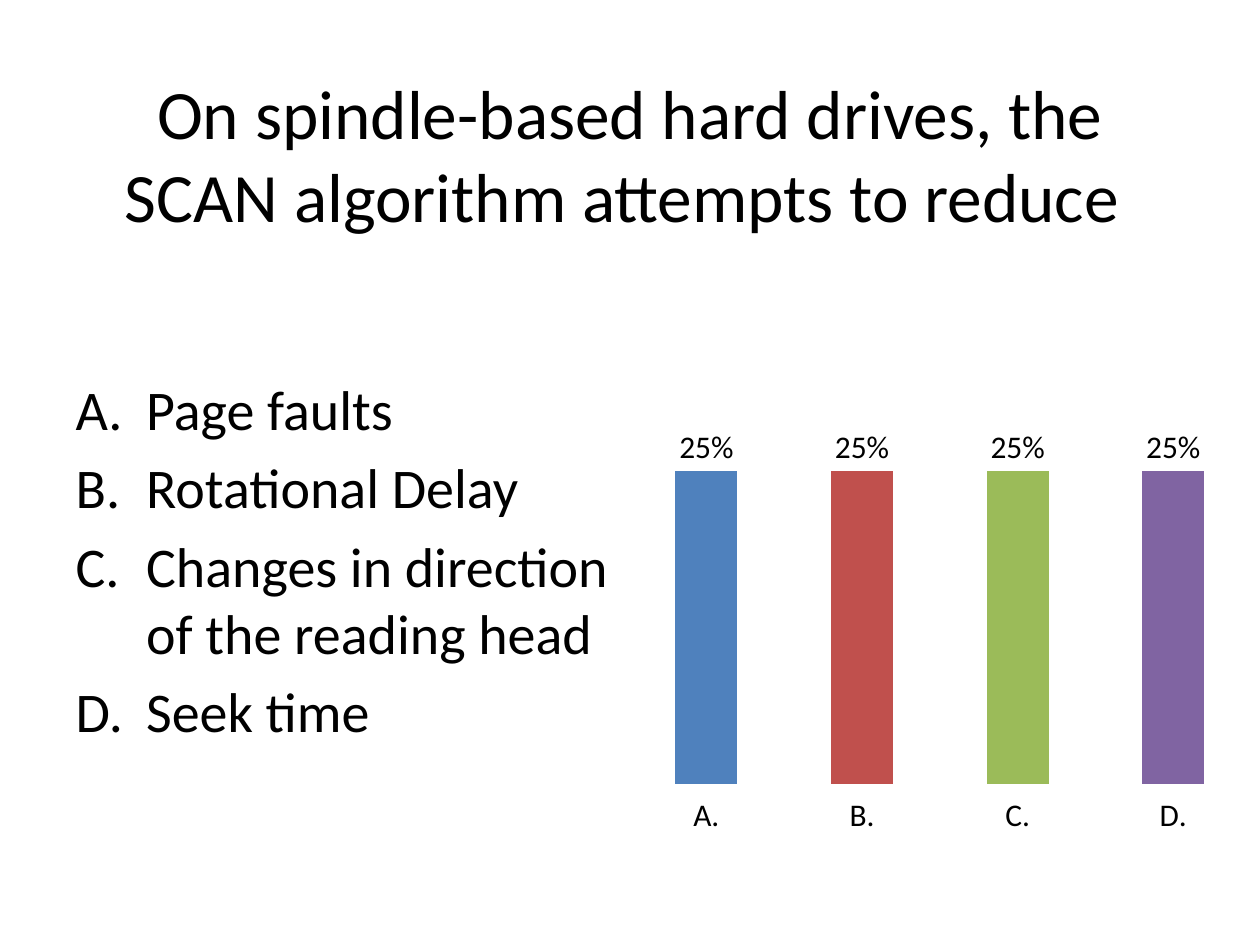
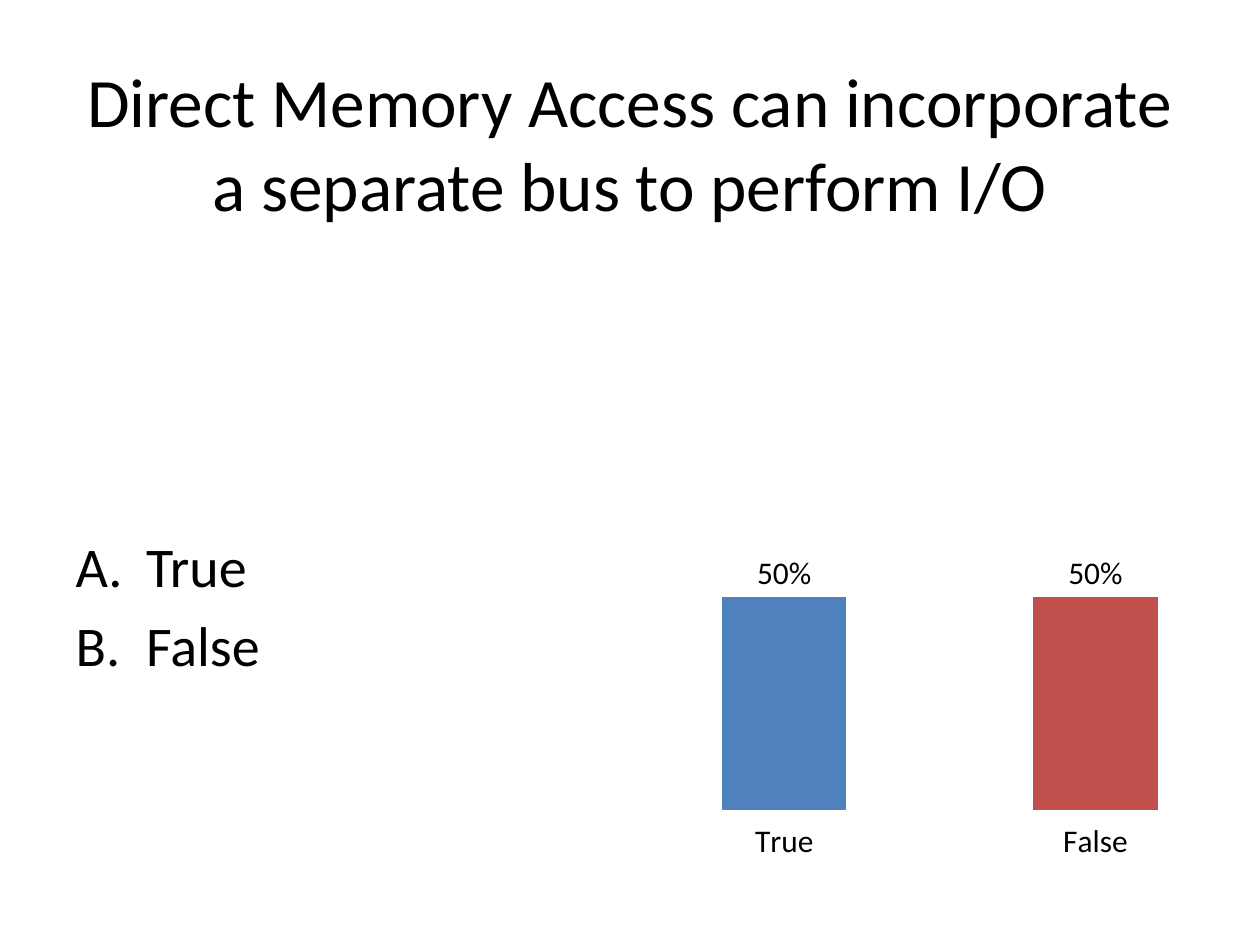
import lxml.etree
import pptx
import pptx.chart.data
import pptx.dml.color
import pptx.enum.chart
import pptx.enum.text
import pptx.oxml.ns
import pptx.util
from pptx.util import Inches

QUESTIONS = [
    {
        "title": "On spindle-based hard drives, the SCAN algorithm attempts to reduce ",
        "title_top": 0.59,
        "content_top": 2.92,
        "answers": [
            "Page faults",
            "Rotational Delay",
            "Changes in direction of the reading head",
            "Seek time",
        ],
        "votes": {"A.": 0.25, "B.": 0.25, "C.": 0.25, "D.": 0.25},
    },
    {
        "title": "Direct Memory Access can incorporate a separate bus to perform I/O",
        "title_top": 0.5,
        "content_top": 4.17,
        "answers": ["True", "False"],
        "votes": {"True": 0.5, "False": 0.5},
    },
]

FONT = "Calibri"
TEXT_COLOR = "000000"
BACKGROUND = "FFFFFF"
BAR_COLORS = ["4F81BD", "C0504D", "9BBB59", "8064A2"]
TITLE_SIZE, ANSWER_SIZE, CHART_SIZE = 39.6, 32, 18

MARGIN = 0.5
TITLE_WIDTH, TITLE_HEIGHT = 9, 1.25
ANSWERS_WIDTH, ANSWERS_BOTTOM = 4.5, 6.7
ANSWER_INDENT = 0.56
CHART_LEFT, CHART_WIDTH, CHART_BOTTOM = 4.93, 5, 7.37
PLOT_AREA = {"x": 0.008, "y": 0.072, "w": 0.992, "h": 0.76}
HEADROOM = 1.2  # top of the value axis relative to the tallest bar


def rgb(color):
    return pptx.dml.color.RGBColor.from_string(color)


def style_font(font, size):
    font.name = FONT
    font.size = pptx.util.Pt(size)
    font.color.rgb = rgb(TEXT_COLOR)


def place(shape, left, top, width, height):
    shape.left, shape.top = Inches(left), Inches(top)
    shape.width, shape.height = Inches(width), Inches(height)


def fill_title(shape, text, top):
    place(shape, MARGIN, top, TITLE_WIDTH, TITLE_HEIGHT)
    frame = shape.text_frame
    frame.text = text
    frame.auto_size = pptx.enum.text.MSO_AUTO_SIZE.NONE
    frame.vertical_anchor = pptx.enum.text.MSO_ANCHOR.MIDDLE
    paragraph = frame.paragraphs[0]
    paragraph.alignment = pptx.enum.text.PP_ALIGN.CENTER
    style_font(paragraph.font, TITLE_SIZE)


def fill_answers(shape, answers, top):
    place(shape, MARGIN, top, ANSWERS_WIDTH, ANSWERS_BOTTOM - top)
    frame = shape.text_frame
    frame.text = "\n".join(answers)
    frame.auto_size = pptx.enum.text.MSO_AUTO_SIZE.NONE
    for paragraph in frame.paragraphs:
        properties = paragraph._p.get_or_add_pPr()
        properties.set("marL", str(Inches(ANSWER_INDENT)))
        properties.set("indent", str(-Inches(ANSWER_INDENT)))
        lxml.etree.SubElement(
            properties, pptx.oxml.ns.qn("a:buAutoNum"), type="alphaUcPeriod"
        )
        style_font(paragraph.font, ANSWER_SIZE)
    frame.paragraphs[0].space_before = pptx.util.Pt(0)


def set_plot_area(chart):
    """Fix the outer bounds of the plot as fractions of the chart."""
    qn = pptx.oxml.ns.qn
    plot_area = chart._chartSpace.chart.plotArea
    layout = plot_area.find(qn("c:layout"))
    if layout is None:
        layout = lxml.etree.Element(qn("c:layout"))
        plot_area.insert(0, layout)
    manual = lxml.etree.SubElement(layout, qn("c:manualLayout"))
    settings = {"layoutTarget": "outer", "xMode": "edge", "yMode": "edge", **PLOT_AREA}
    for name, value in settings.items():
        lxml.etree.SubElement(manual, qn(f"c:{name}"), val=str(value))


def add_vote_chart(slide, votes, top):
    data = pptx.chart.data.CategoryChartData(number_format="0%")
    data.categories = list(votes)
    data.add_series("Series 1", list(votes.values()))
    chart = slide.shapes.add_chart(
        pptx.enum.chart.XL_CHART_TYPE.COLUMN_CLUSTERED,
        Inches(CHART_LEFT), Inches(top),
        Inches(CHART_WIDTH), Inches(CHART_BOTTOM - top),
        data,
    ).chart
    chart.has_legend = False
    chart.has_title = False
    style_font(chart.font, CHART_SIZE)
    set_plot_area(chart)

    value_axis = chart.value_axis
    value_axis.minimum_scale = 0
    value_axis.maximum_scale = round(max(votes.values()) * HEADROOM, 2)
    value_axis.has_major_gridlines = False
    value_axis.tick_label_position = pptx.enum.chart.XL_TICK_LABEL_POSITION.NONE
    for axis in (value_axis, chart.category_axis):
        axis.format.line.fill.background()

    plot = chart.plots[0]
    plot.gap_width = 150
    plot.vary_by_categories = True
    plot.has_data_labels = True
    labels = plot.data_labels
    labels.show_value = True
    labels.number_format = "0%"
    labels.number_format_is_linked = False
    labels.position = pptx.enum.chart.XL_LABEL_POSITION.OUTSIDE_END
    style_font(labels.font, CHART_SIZE)
    for index, color in enumerate(BAR_COLORS[:len(votes)]):
        fill = plot.series[0].points[index].format.fill
        fill.solid()
        fill.fore_color.rgb = rgb(color)


def add_question(presentation, question):
    slide = presentation.slides.add_slide(
        presentation.slide_layouts.get_by_name("Title and Content")
    )
    slide.background.fill.solid()
    slide.background.fill.fore_color.rgb = rgb(BACKGROUND)
    top = question["content_top"]
    fill_title(slide.shapes.title, question["title"], question["title_top"])
    fill_answers(slide.placeholders[1], question["answers"], top)
    add_vote_chart(slide, question["votes"], top)


def main():
    presentation = pptx.Presentation()
    presentation.slide_width = Inches(10)
    presentation.slide_height = Inches(7.5)
    for question in QUESTIONS:
        add_question(presentation, question)
    presentation.save("out.pptx")


if __name__ == "__main__":
    main()
